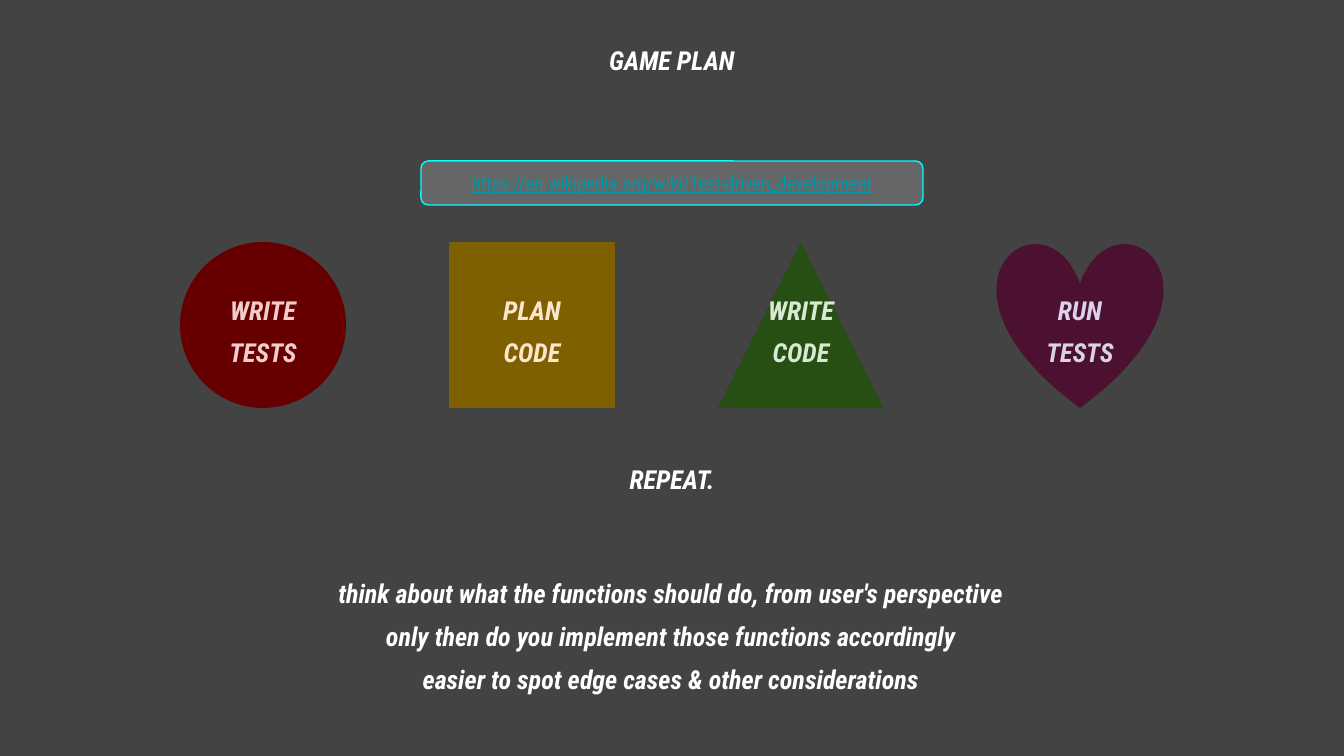
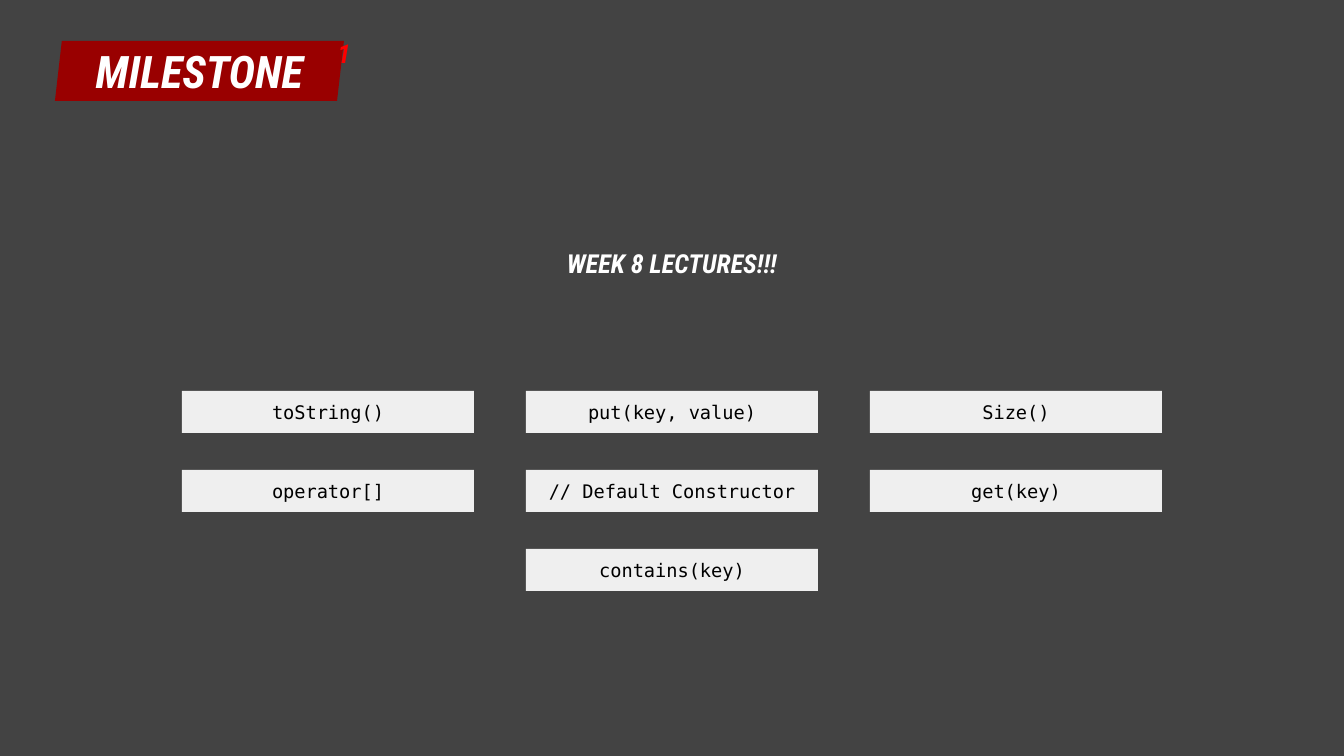
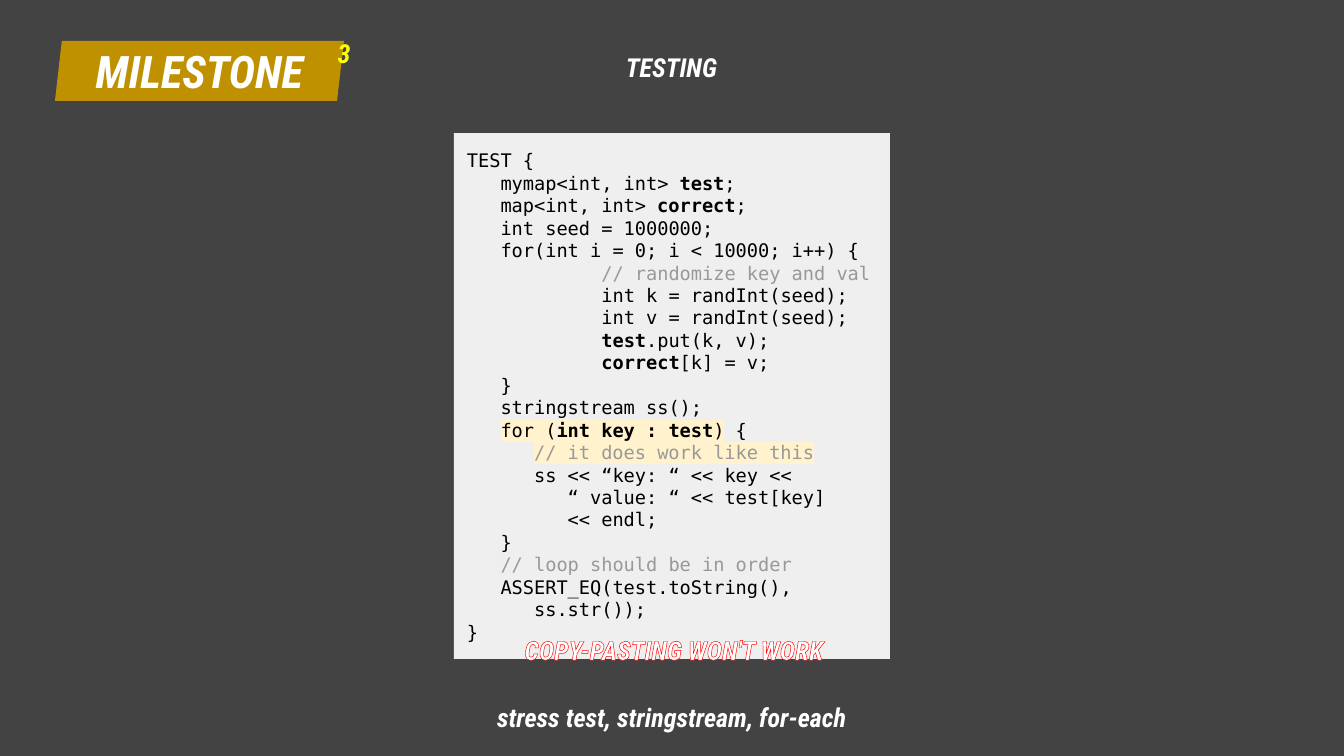
from lxml import etree
from pptx import Presentation
from pptx import util as u
from pptx.dml.color import RGBColor
from pptx.enum import shapes, text
from pptx.oxml import ns

WIDTH, HEIGHT = 1344, 756
SCALE = 9144000 / WIDTH
HEADING, MONO = "Roboto Condensed", "DejaVu Sans Mono"
COLORS = {
    "background": "434343", "white": "FFFFFF", "black": "000000",
    "panel": "EFEFEF", "comment": "999999", "highlight": "FFF2CC",
    "link_box": "666666", "link_edge": "00FFFF", "link": "0097A7",
    "maroon": "660000", "rose": "F4CCCC", "olive": "7F6000", "peach": "FCE5CD",
    "forest": "274E13", "mint": "D9EAD3", "plum": "4C1130", "lilac": "D9D2E9",
    "red_badge": "990000", "gold_badge": "BF9000",
    "red": "FF0000", "yellow": "FFFF00",
}
STEPS = [
    (180, shapes.MSO_SHAPE.OVAL, "maroon", "rose", ("WRITE", "TESTS")),
    (449, shapes.MSO_SHAPE.RECTANGLE, "olive", "peach", ("PLAN", "CODE")),
    (718, shapes.MSO_SHAPE.ISOSCELES_TRIANGLE, "forest", "mint", ("WRITE", "CODE")),
    (997, shapes.MSO_SHAPE.HEART, "plum", "lilac", ("RUN", "TESTS")),
]
ADVICE = [
    "think about what the functions should do, from user's perspective",
    "only then do you implement those functions accordingly",
    "easier to spot edge cases & other considerations",
]
METHODS = [
    ["toString()", "put(key, value)", "Size()"],
    ["operator[]", "// Default Constructor", "get(key)"],
    [None, "contains(key)", None],
]
CODE = [
    [("TEST {",)],
    [("   mymap<int, int> ",), ("test", "bold"), (";",)],
    [("   map<int, int> ",), ("correct", "bold"), (";",)],
    [("   int seed = 1000000;",)],
    [("   for(int i = 0; i < 10000; i++) {",)],
    [("\t// randomize key and val", "comment")],
    [("\tint k = randInt(seed);",)],
    [("\tint v = randInt(seed);",)],
    [("\t",), ("test", "bold"), (".put(k, v);",)],
    [("\t",), ("correct", "bold"), ("[k] = v;",)],
    [("   }",)],
    [("   stringstream ss();",)],
    [("   ",), ("for (", "marked"), ("int key : test", "bold", "marked"),
     (")", "marked"), (" {",)],
    [("      ",), ("// it does work like this", "comment", "marked")],
    [("      ss << “key: “ << key <<",)],
    [("         “ value: “ << test[key]",)],
    [("         << endl;",)],
    [("   }",)],
    [("   ",), ("// loop should be in order", "comment")],
    [("   ASSERT_EQ(test.toString(),",)],
    [("      ss.str());",)],
    [("}",)],
]


def px(*lengths):
    return [u.Emu(round(length * SCALE)) for length in lengths]


def rgb(color):
    return RGBColor.from_string(COLORS[color])


def add_color(parent, tag, color):
    element = etree.SubElement(parent, ns.qn(tag))
    etree.SubElement(element, ns.qn("a:srgbClr"), val=COLORS[color])


def set_font(font, size, color, name=HEADING, strong=True):
    font.name, font.size = name, u.Pt(size)
    font.bold = font.italic = strong
    font.color.rgb = rgb(color)


def set_frame(frame, side, top, anchor):
    frame.word_wrap = True
    frame.auto_size = text.MSO_AUTO_SIZE.NONE
    frame.margin_left, frame.margin_right = px(side, side)
    frame.margin_top, frame.margin_bottom = px(top, top)
    frame.vertical_anchor = anchor


def set_line(frame, words, size, color, name=HEADING, strong=True):
    line = frame.paragraphs[0]
    line.text = words
    line.alignment = text.PP_ALIGN.CENTER
    set_font(line.font, size, color, name, strong)


def add_label(slide, box, words, color="white"):
    label = slide.shapes.add_textbox(*px(*box))
    set_frame(label.text_frame, 0, 8, text.MSO_ANCHOR.TOP)
    set_line(label.text_frame, words, 14, color)
    return label


def add_outlined(slide, box, words, edge, filled):
    label = add_label(slide, box, words)
    properties = label.text_frame.paragraphs[0].runs[0]._r.get_or_add_rPr()
    outline = etree.SubElement(properties, ns.qn("a:ln"), w=str(u.Pt(1.5)))
    add_color(outline, "a:solidFill", edge)
    if filled:
        add_color(properties, "a:solidFill", "white")
    else:
        etree.SubElement(properties, ns.qn("a:noFill"))


def add_block(slide, kind, box, fill):
    block = slide.shapes.add_shape(kind, *px(*box))
    block.shadow.inherit = False
    block.fill.solid()
    block.fill.fore_color.rgb = rgb(fill)
    block.line.fill.background()
    set_frame(block.text_frame, 13, 13, text.MSO_ANCHOR.MIDDLE)
    return block


def add_slide(prs, title, box):
    slide = prs.slides.add_slide(prs.slide_layouts[5])
    heading = slide.shapes.title
    heading.left, heading.top, heading.width, heading.height = px(*box)
    set_frame(heading.text_frame, 0, 8, text.MSO_ANCHOR.TOP)
    set_line(heading.text_frame, title, 14, "white")
    return slide


def add_milestone(slide, number, fill, edge, left=55, top=41):
    badge = add_block(slide, shapes.MSO_SHAPE.PARALLELOGRAM, (left, top, 289, 60), fill)
    badge.adjustments[0] = 0.115
    set_line(badge.text_frame, "MILESTONE", 24, "white")
    add_outlined(slide, (left + 261, top - 12, 56, 84), number, edge, False)


def add_step(slide, left, top, kind, fill, color, words):
    size = 166
    add_block(slide, kind, (left, top, size, size), fill)
    for row, word in enumerate(words):
        add_label(slide, (left, top + 44 + 42 * row, size, 38), word, color)


def add_address(slide, box):
    address = add_block(slide, shapes.MSO_SHAPE.ROUNDED_RECTANGLE, box, "link_box")
    address.adjustments[0] = 0.167
    address.line.color.rgb = rgb("link_edge")
    address.line.width = u.Pt(0.75)
    set_line(address.text_frame, "https://en.wikipedia.org/wiki/Test-driven_development",
             10, "link", strong=False)
    address.text_frame.paragraphs[0].font.underline = True


def add_methods(slide, left, top):
    for row, names in enumerate(METHODS):
        for column, name in enumerate(names):
            if name:
                box = (left + 344 * column, top + 79 * row, 292, 42)
                method = add_block(slide, shapes.MSO_SHAPE.RECTANGLE, box, "panel")
                set_line(method.text_frame, name, 10, "black", MONO, False)


def add_code(slide, box):
    frame = add_block(slide, shapes.MSO_SHAPE.RECTANGLE, box, "panel").text_frame
    for index, parts in enumerate(CODE):
        line = frame.add_paragraph() if index else frame.paragraphs[0]
        line.alignment = text.PP_ALIGN.JUSTIFY
        tabs = etree.SubElement(line._p.get_or_add_pPr(), ns.qn("a:tabLst"))
        etree.SubElement(tabs, ns.qn("a:tab"), pos=str(u.Inches(1)), algn="l")
        set_font(line.font, 10, "black", MONO, False)
        for words, *styles in parts:
            run = line.add_run()
            run.text = words
            if "bold" in styles:
                run.font.bold = True
            if "comment" in styles:
                run.font.color.rgb = rgb("comment")
            if "marked" in styles:
                add_color(run._r.get_or_add_rPr(), "a:highlight", "highlight")


def build_game_plan(prs):
    slide = add_slide(prs, "GAME PLAN", (447, 36, 450, 71))
    for left, *step in STEPS:
        add_step(slide, left, 242, *step)
    add_label(slide, (588, 455, 168, 38), "REPEAT.")
    for row, advice in enumerate(ADVICE):
        add_label(slide, (212, 569 + 43 * row, 918, 33), advice)
    add_address(slide, (421, 161, 502, 44))


def build_lectures(prs):
    slide = add_slide(prs, "WEEK 8 LECTURES!!!", (142, 239, 1060, 95))
    add_milestone(slide, "1", "red_badge", "red")
    add_methods(slide, 182, 391)


def build_testing(prs):
    slide = add_slide(prs, "TESTING", (543, 43, 257, 56))
    add_code(slide, (454, 133, 436, 526))
    add_label(slide, (394, 693, 556, 39), "stress test, stringstream, for-each")
    add_milestone(slide, "3", "gold_badge", "yellow")
    add_outlined(slide, (179, 626, 990, 64), "COPY-PASTING WON'T WORK", "red", True)


def main():
    prs = Presentation()
    prs.slide_width, prs.slide_height = px(WIDTH, HEIGHT)
    backdrop = prs.slide_master.background.fill
    backdrop.solid()
    backdrop.fore_color.rgb = rgb("background")
    build_game_plan(prs)
    build_lectures(prs)
    build_testing(prs)
    prs.save("out.pptx")


if __name__ == "__main__":
    main()
